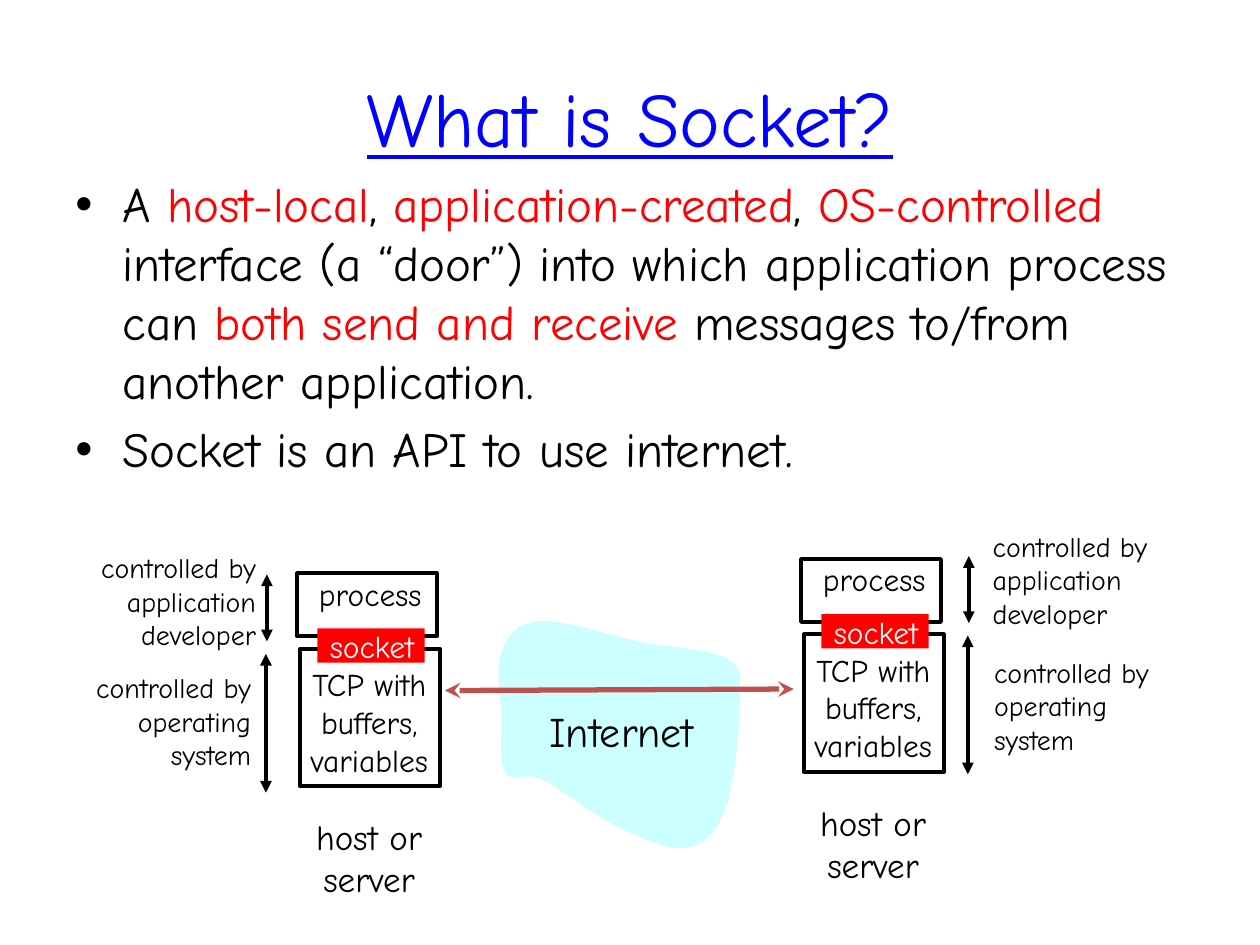
import pptx
import pptx.util
import pptx.dml.color
import pptx.enum.shapes
import pptx.enum.text
import pptx.oxml
import pptx.oxml.ns

Cm, Pt = pptx.util.Cm, pptx.util.Pt
RGBColor = pptx.dml.color.RGBColor
ALIGN = pptx.enum.text.PP_ALIGN
ANCHOR = pptx.enum.text.MSO_ANCHOR
AUTO_SIZE = pptx.enum.text.MSO_AUTO_SIZE

BLACK = RGBColor(0, 0, 0)
WHITE = RGBColor(255, 255, 255)
RED = RGBColor(255, 0, 0)
BLUE = RGBColor(0, 0, 255)
BRICK = RGBColor(0xC0, 0x50, 0x4D)
PALE_CYAN = RGBColor(0xCC, 0xFF, 0xFF)
FONT = "Comic Neue"

# Each bullet is a list of (text, colour) runs
BULLETS = [
    [("A ", BLACK), ("host-local", RED), (", ", BLACK),
     ("application-created", RED), (", ", BLACK), ("OS-controlled ", RED),
     ("interface (a “door”) into which application process can ", BLACK),
     ("both send and receive ", RED),
     ("messages to/from another application.", BLACK)],
    [("Socket is an API to use internet.", BLACK)],
]

# Cloud outline in cm: a start point, then Bézier segments of three points
CLOUD_START = (10.92, 12.52)
CLOUD_CURVES = [
    ((10.46, 12.55), (10.26, 12.75), (10.13, 13.08)),
    ((9.98, 13.41), (10.08, 14.02), (10.11, 14.43)),
    ((10.11, 14.86), (10.06, 15.37), (10.19, 15.57)),
    ((10.34, 15.8), (10.57, 15.54), (10.95, 15.72)),
    ((11.33, 15.93), (12.01, 16.46), (12.5, 16.69)),
    ((12.98, 16.92), (13.49, 17.15), (13.84, 17.09)),
    ((14.2, 17.02), (14.45, 16.76), (14.63, 16.28)),
    ((14.81, 15.8), (14.91, 14.66), (14.91, 14.15)),
    ((14.91, 13.64), (14.99, 13.49), (14.66, 13.28)),
    ((14.33, 13.08), (13.51, 13.06), (12.88, 12.93)),
    ((12.27, 12.8), (11.38, 12.5), CLOUD_START),
]


def add_xml(parent, tag, **attributes):
    child = pptx.oxml.parse_xml(f"<a:{tag} {pptx.oxml.ns.nsdecls('a')}/>")
    for name, value in attributes.items():
        child.set(name, value)
    parent.append(child)


def write(paragraph, text, size, color=BLACK, align=None, underline=None):
    run = paragraph.add_run()
    run.text = text
    run.font.name = FONT
    run.font.size = Pt(size)
    run.font.color.rgb = color
    run.font.underline = underline
    if align is not None:
        paragraph.alignment = align


def add_label(slide, lines, left, top, width, height, **text_format):
    label = slide.shapes.add_textbox(Cm(left), Cm(top), Cm(width), Cm(height))
    frame = label.text_frame
    frame.word_wrap = False
    frame.auto_size = AUTO_SIZE.SHAPE_TO_FIT_TEXT
    frame.vertical_anchor = ANCHOR.MIDDLE
    for index, line in enumerate(lines):
        paragraph = frame.add_paragraph() if index else frame.paragraphs[0]
        write(paragraph, line, **text_format)


def paint(shape, fill=None, line=None):
    shape.shadow.inherit = False
    if fill is None:
        shape.fill.background()
    else:
        shape.fill.solid()
        shape.fill.fore_color.rgb = fill
    if line is None:
        shape.line.fill.background()
    else:
        shape.line.color.rgb = line
        shape.line.width = Pt(2.25)


def add_box(slide, left, top, width, height, fill=None, line=None):
    box = slide.shapes.add_shape(pptx.enum.shapes.MSO_SHAPE.RECTANGLE,
                                 Cm(left), Cm(top), Cm(width), Cm(height))
    paint(box, fill, line)


def add_double_arrow(slide, x1, y1, x2, y2, color=BLACK, width=2.25,
                     head="triangle"):
    arrow = slide.shapes.add_connector(
        pptx.enum.shapes.MSO_CONNECTOR.STRAIGHT, Cm(x1), Cm(y1), Cm(x2), Cm(y2))
    arrow.line.color.rgb = color
    arrow.line.width = Pt(width)
    outline = arrow.line._get_or_add_ln()
    add_xml(outline, "headEnd", type=head)
    add_xml(outline, "tailEnd", type=head)
    add_xml(arrow._element.spPr, "effectLst")


def add_title(slide):
    title = slide.shapes.title
    title.left, title.top = Cm(1.27), Cm(0.76)
    title.width, title.height = Cm(22.86), Cm(3.18)
    title.text_frame.auto_size = AUTO_SIZE.NONE
    title.text_frame.vertical_anchor = ANCHOR.MIDDLE
    write(title.text_frame.paragraphs[0], "What is Socket?", 44, BLUE,
          align=ALIGN.CENTER, underline=True)


def add_bullets(slide):
    body = slide.shapes.add_textbox(Cm(1.27), Cm(3.38), Cm(22.86), Cm(12.57))
    frame = body.text_frame
    frame.word_wrap = True
    for index, runs in enumerate(BULLETS):
        paragraph = frame.add_paragraph() if index else frame.paragraphs[0]
        properties = paragraph._p.get_or_add_pPr()
        properties.set("marL", str(Cm(0.95)))
        properties.set("indent", str(-Cm(0.95)))
        add_xml(properties, "buFont", typeface="Arial")
        add_xml(properties, "buChar", char="•")
        if index:
            paragraph.space_before = Pt(5.6)
        for text, color in runs:
            write(paragraph, text, 28, color)


def add_host(slide, dx=0, dy=0):
    # Application process
    add_box(slide, 5.99 + dx, 11.56 + dy, 2.82, 1.27, fill=WHITE, line=BLACK)
    add_label(slide, ["process"], 6.07 + dx, 11.46 + dy, 2.79, 1.02,
              size=18, align=ALIGN.CENTER)
    # Transport layer of the operating system
    add_label(slide, ["TCP with", "buffers,", "variables"],
              5.87 + dx, 13.28 + dy, 3.15, 2.54, size=18, align=ALIGN.CENTER)
    add_box(slide, 6.05 + dx, 13.08 + dy, 2.82, 2.77, line=BLACK)
    # Socket between the two
    add_box(slide, 6.4 + dx, 12.67 + dy, 2.16, 0.69, fill=RED)
    add_label(slide, ["socket"], 6.27 + dx, 12.52 + dy, 2.46, 1.02,
              size=18, color=WHITE, align=ALIGN.CENTER)
    add_label(slide, ["host or", "server"], 5.99 + dx, 16.31 + dy, 2.9, 1.96,
              size=20, align=ALIGN.CENTER)


def add_control(slide, app_label, os_label, align, dx=0, dy=0):
    for place, owner in ((app_label, ["application", "developer"]),
                         (os_label, ["operating", "system"])):
        add_label(slide, ["controlled by", *owner], *place, 3.96, 2.29,
                  size=16, align=align)
    for x, bottom, top in ((5.38, 12.93, 11.58), (5.36, 15.98, 13.18)):
        add_double_arrow(slide, x + dx, bottom + dy, x + dx, top + dy)


def add_cloud(slide, steps=12):
    points, start = [], CLOUD_START
    for first, second, end in CLOUD_CURVES:
        for step in range(1, steps + 1):
            t = step / steps
            u = 1 - t
            points.append(tuple(
                Cm(u**3 * a + 3 * u * u * t * b + 3 * u * t * t * c + t**3 * d)
                for a, b, c, d in zip(start, first, second, end)))
        start = end
    builder = slide.shapes.build_freeform(*map(Cm, CLOUD_START))
    builder.add_line_segments(points, close=True)
    paint(builder.convert_to_shape(), fill=PALE_CYAN)


def main():
    deck = pptx.Presentation()
    deck.slide_width, deck.slide_height = Cm(25.4), Cm(19.05)
    slide = deck.slides.add_slide(deck.slide_layouts[5])
    add_title(slide)
    add_bullets(slide)

    # Left and right hosts
    add_host(slide)
    add_control(slide, (1.45, 10.97), (1.35, 13.39), ALIGN.RIGHT)
    add_host(slide, dx=10.16, dy=-0.29)
    add_control(slide, (19.76, 10.54), (19.79, 13.08), ALIGN.LEFT,
                dx=14.15, dy=-0.37)

    # Network between them
    add_cloud(slide)
    add_label(slide, ["Internet"], 10.54, 14.1, 3.99, 1.27,
              size=24, align=ALIGN.CENTER)
    add_double_arrow(slide, 16, 13.89, 8.97, 13.92, color=BRICK, width=3,
                     head="stealth")
    deck.save("out.pptx")


if __name__ == "__main__":
    main()
